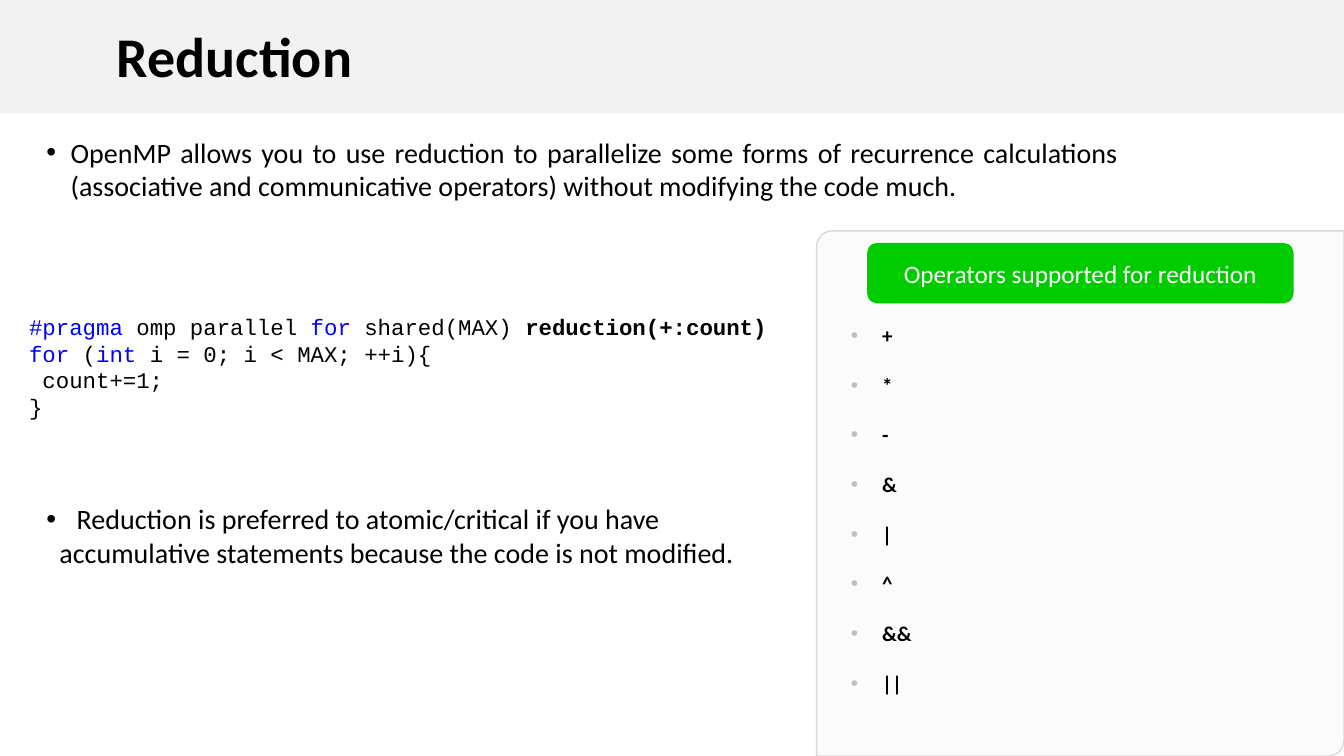
import pptx
import pptx.util
import pptx.dml.color
import pptx.enum.shapes
import pptx.enum.text
import pptx.oxml.ns
from lxml import etree

COLORS = {"black": "000000", "keyword": "0000FF", "white": "FFFFFF", "band": "F2F2F2",
          "panel": "FBFBFB", "edge": "D9D9D9", "label": "00CC00", "bullet": "BFBFBF"}
WIDTH, HEIGHT = 13.33, 7.5

TITLE = "Reduction"
# text, left margin, has a bullet, space before in points
POINTS = [
    ("OpenMP allows you to use reduction to parallelize some forms of recurrence "
     "calculations (associative and communicative operators) without modifying the code much.",
     0.24, True, 0),
    ("Reduction is preferred to atomic/critical if you have", 0.3, True, 214),
    ("accumulative statements because the code is not modified.", 0.13, False, 0),
]
# each line is a list of (text, color, bold)
CODE = [
    [("#pragma", "keyword", False), (" omp parallel ", "black", False),
     ("for ", "keyword", False), ("shared(MAX) ", "black", False),
     ("reduction(+:count)", "black", True)],
    [("for", "keyword", False), (" (", "black", False), ("int", "keyword", False),
     (" i = 0; i < MAX; ++i){", "black", False)],
    [(" count+=1;", "black", False)],
    [("}", "black", False)],
]
LABEL = "Operators supported for reduction"
OPERATORS = ["+", "*", "-", "&", "|", "^", "&&", "||"]

PANEL_LEFT, PANEL_TOP = 8.1, 2.29
CODE_PITCH = 19
OPERATOR_GAP = 17.5

ALIGN = pptx.enum.text.PP_ALIGN
ANCHOR = pptx.enum.text.MSO_ANCHOR
SHAPE = pptx.enum.shapes.MSO_SHAPE
Inches, Pt = pptx.util.Inches, pptx.util.Pt


def rgb(name):
    return pptx.dml.color.RGBColor.from_string(COLORS[name])


def place(part, left, top, width, height):
    part.left, part.top, part.width, part.height = map(Inches, (left, top, width, height))


def add_run(paragraph, text, size, color="black", bold=False, font="Calibri"):
    run = paragraph.add_run()
    run.text = text
    run.font.size, run.font.bold, run.font.name = Pt(size), bold, font
    run.font.color.rgb = rgb(color)


def set_bullet(paragraph, margin, shown=True, color="black"):
    """Indent the paragraph, with a hanging bullet if one is shown."""
    props = paragraph._p.get_or_add_pPr()
    props.set("marL", str(Inches(margin)))
    props.set("indent", str(-Inches(margin) if shown else 0))
    qn = pptx.oxml.ns.qn
    if not shown:
        etree.SubElement(props, qn("a:buNone"))
        return
    tint = etree.SubElement(props, qn("a:buClr"))
    etree.SubElement(tint, qn("a:srgbClr"), val=COLORS[color])
    etree.SubElement(props, qn("a:buFont"), typeface="Arial")
    etree.SubElement(props, qn("a:buChar"), char="•")


def paragraphs(frame, items):
    """Yield each item with its own paragraph of the frame."""
    for index, item in enumerate(items):
        yield item, frame.add_paragraph() if index else frame.paragraphs[0]


def set_frame(frame, anchor=ANCHOR.TOP):
    frame.auto_size = pptx.enum.text.MSO_AUTO_SIZE.NONE
    frame.word_wrap = True
    frame.vertical_anchor = anchor


def add_block(slide, kind, box, fill, edge=None):
    block = slide.shapes.add_shape(kind, *map(Inches, box))
    block.shadow.inherit = False
    block.fill.solid()
    block.fill.fore_color.rgb = rgb(fill)
    if edge:
        block.line.color.rgb = rgb(edge)
        block.line.width = Pt(1)
    else:
        block.line.fill.background()
    return block


def main():
    deck = pptx.Presentation()
    deck.slide_width, deck.slide_height = Inches(WIDTH), Inches(HEIGHT)
    slide = deck.slides.add_slide(deck.slide_layouts[3])
    title, points, operators = slide.placeholders

    band = add_block(slide, SHAPE.RECTANGLE, (0, 0, WIDTH, 0.15 * HEIGHT), "band")
    panel = add_block(slide, SHAPE.ROUND_2_DIAG_RECTANGLE,
                      (PANEL_LEFT, PANEL_TOP, WIDTH - PANEL_LEFT, HEIGHT - PANEL_TOP),
                      "panel", "edge")
    panel.adjustments[0], panel.adjustments[1] = 0.03, 0
    for backdrop in (band, panel):
        slide.shapes._spTree.insert(2, backdrop._element)

    place(title, 1.06, -0.07, 9.98, 1.01)
    set_frame(title.text_frame, ANCHOR.BOTTOM)
    heading = title.text_frame.paragraphs[0]
    heading.alignment, heading.line_spacing = ALIGN.LEFT, 0.9
    add_run(heading, TITLE, 40, bold=True)

    place(points, 0.36, 1.29, 10.83, 4.48)
    set_frame(points.text_frame)
    for (text, margin, shown, gap), paragraph in paragraphs(points.text_frame, POINTS):
        set_bullet(paragraph, margin, shown)
        paragraph.alignment, paragraph.space_before = ALIGN.JUSTIFY, Pt(gap)
        add_run(paragraph, text, 20)

    code = slide.shapes.add_textbox(0, 0, 0, 0)
    place(code, 0.19, 3.06, 8.61, 1.2)
    set_frame(code.text_frame)
    for line, paragraph in paragraphs(code.text_frame, CODE):
        paragraph.line_spacing = Pt(CODE_PITCH)
        for text, color, bold in line:
            add_run(paragraph, text, 16, color, bold, "Courier New")

    label = add_block(slide, SHAPE.ROUNDED_RECTANGLE, (8.6, 2.41, 4.23, 0.6), "label")
    set_frame(label.text_frame, ANCHOR.MIDDLE)
    caption = label.text_frame.paragraphs[0]
    caption.alignment = ALIGN.CENTER
    add_run(caption, LABEL, 18, "white")

    place(operators, 8.34, 3.15, 4.88, 3.89)
    set_frame(operators.text_frame)
    for index, (operator, paragraph) in enumerate(paragraphs(operators.text_frame, OPERATORS)):
        set_bullet(paragraph, 0.31, color="bullet")
        paragraph.space_before = Pt(OPERATOR_GAP if index else 0)
        add_run(paragraph, operator, 15, bold=True)

    deck.save("out.pptx")


if __name__ == "__main__":
    main()
